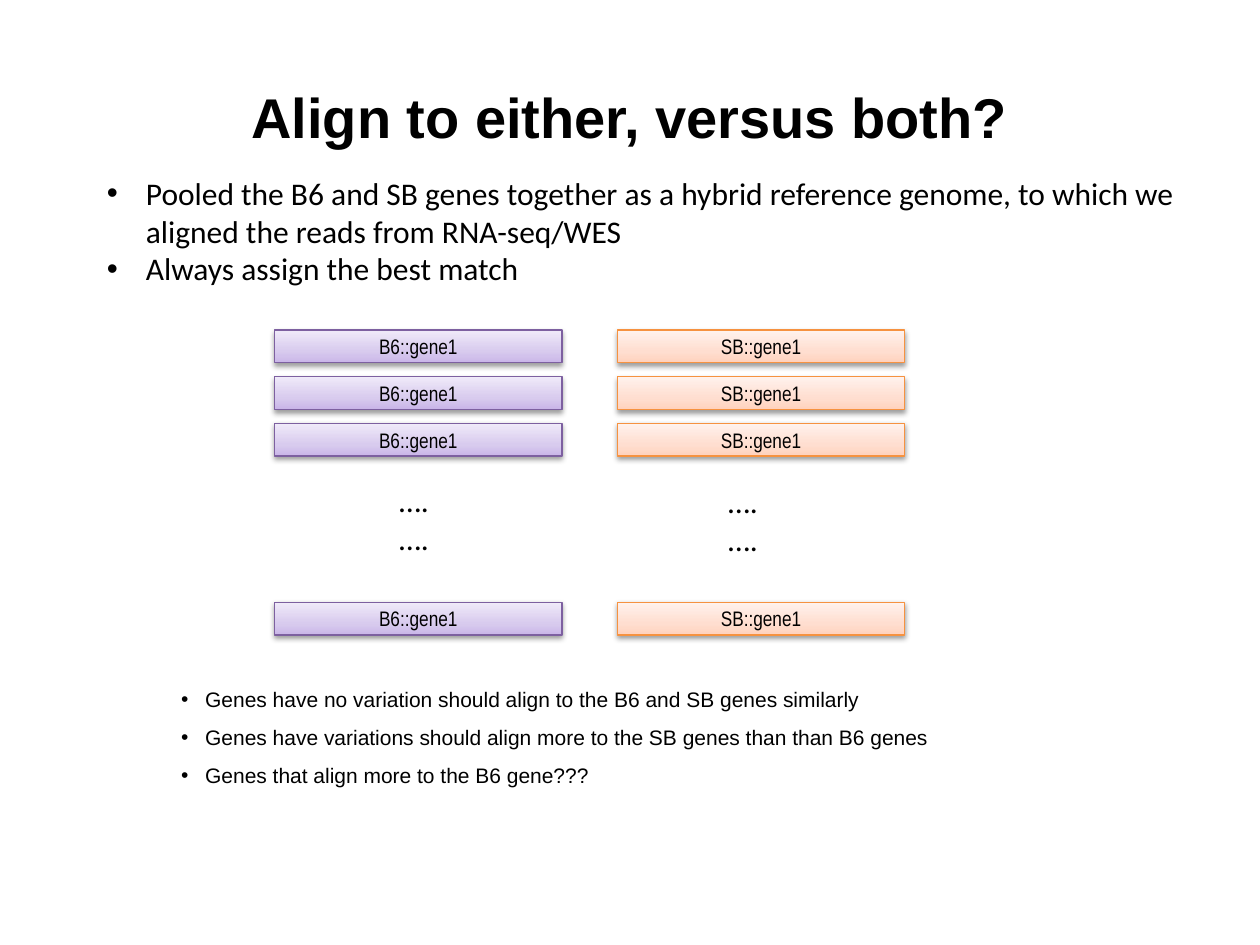
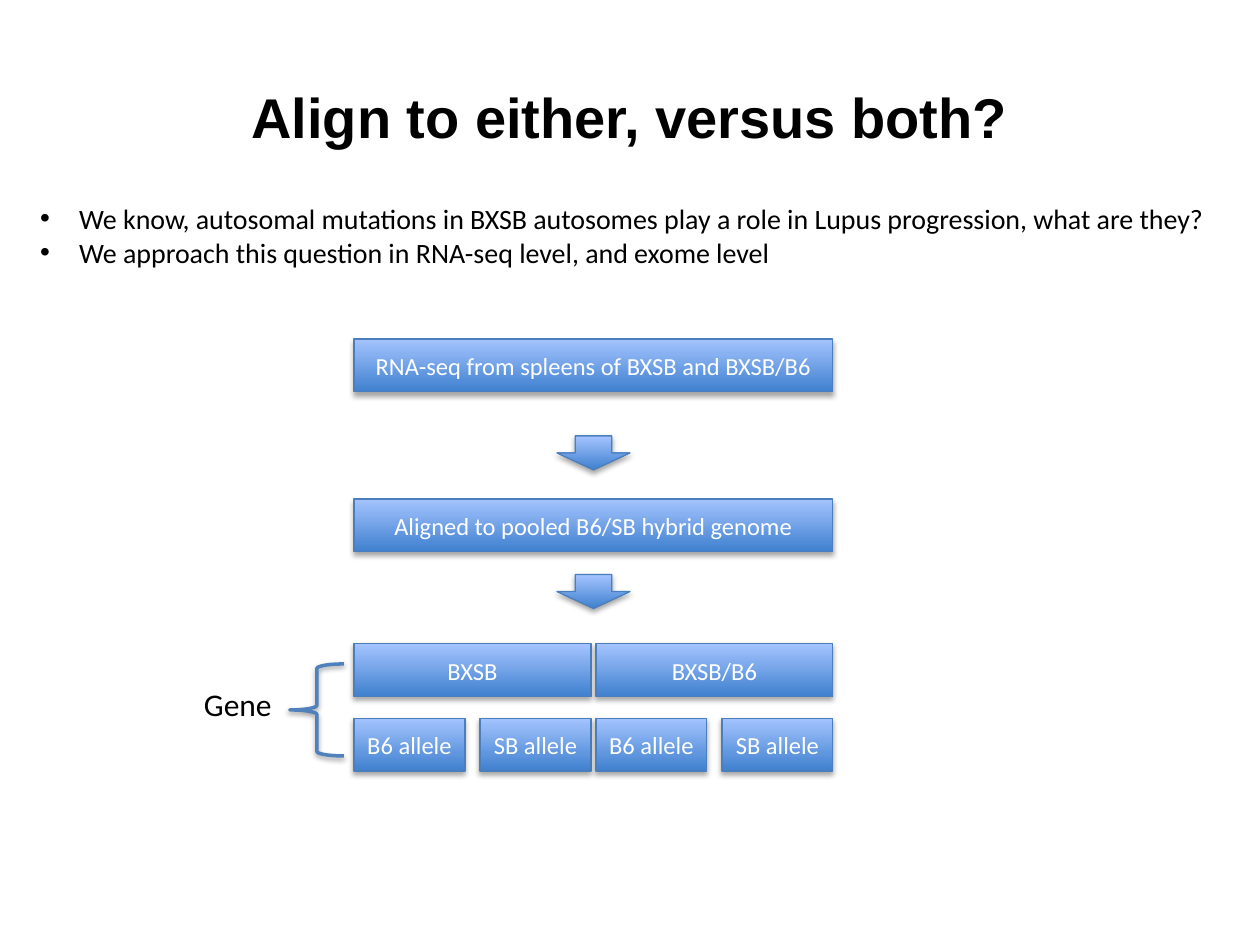
import pptx
import pptx.util
import pptx.oxml
import pptx.oxml.ns
import pptx.dml.color
import pptx.enum.shapes
import pptx.enum.text

Inches, Pt = pptx.util.Inches, pptx.util.Pt
SHAPE = pptx.enum.shapes.MSO_SHAPE
ALIGN = pptx.enum.text.PP_ALIGN
FIT = pptx.enum.text.MSO_AUTO_SIZE
MIDDLE = pptx.enum.text.MSO_ANCHOR.MIDDLE
qn = pptx.oxml.ns.qn

TITLE = "Align to either, versus both?"
BLACK, WHITE = "000000", "FFFFFF"

# Look: gradient stops from bottom to top, line colour and width, shadow (opacity %, distance pt)
PURPLE = dict(stops=[(0, "C9B5E8"), (35, "D8CBEE"), (100, "F0EAF9")], line="7D60A0", shade=(38, 1.6))
ORANGE = dict(stops=[(0, "FFD2BD"), (35, "FFDED0"), (100, "FFF2ED")], line="F69240", shade=(38, 1.6))
BLUE = dict(stops=[(0, "3F80CE"), (100, "A4C4FF")], line="4B7EBC", shade=(35, 1.8))
BRACE = dict(stops=[], line="4F81BD", shade=(38, 1.6), width=2)

POOL = ["Pooled the B6 and SB genes together as a hybrid reference genome, "
        "to which we aligned the reads from RNA-seq/WES",
        "Always assign the best match"]
CASES = ["Genes have no variation should align to the B6 and SB genes similarly",
         "Genes have variations should align more to the SB genes than than B6 genes",
         "Genes that align more to the B6 gene???"]
# Gene label, left of column, look, place of the dots
GENES = [("SB::gene1", 4.9, ORANGE, (5.68, 3.78)),
         ("B6::gene1", 2.18, PURPLE, (3.07, 3.77))]
GENE_TOPS = [2.62 + 0.37 * i for i in range(3)] + [4.78]

AIMS = ["We know, autosomal mutations in BXSB autosomes play a role in Lupus progression, what are they?",
        "We approach this question in RNA-seq level, and exome level"]
STEPS = [("RNA-seq from spleens of BXSB and BXSB/B6", 2.69),
         ("Aligned to pooled B6/SB hybrid genome", 3.96)]
ARROW_TOPS = [3.46, 4.56]
STRAINS = ["BXSB", "BXSB/B6"]
ALLELES = ["B6 allele", "SB allele"]
FLOW_LEFT, FLOW_WIDTH, STEP_HIGH = 2.81, 3.8, 0.42
STRAIN_WIDTH, ALLELE_WIDTH = 1.88, 0.88
STRAIN_TOP, ALLELE_TOP = 5.11, 5.7


def rgb(code):
    return pptx.dml.color.RGBColor.from_string(code)


def place(shape, box):
    shape.left, shape.top, shape.width, shape.height = map(Inches, box)


def node(parent, tag, **attrs):
    child = parent.makeelement(qn(tag), {k: str(v) for k, v in attrs.items()})
    parent.append(child)
    return child


def write(frame, lines, size, font="Calibri", color=BLACK, align=ALIGN.LEFT, bold=False,
          hang=0, space=None):
    """Fill a text frame; a hang above 0 gives bullets with that indent."""
    for i, line in enumerate(lines):
        para = frame.paragraphs[0] if i == 0 else frame.add_paragraph()
        para.alignment = align
        if space:
            para.line_spacing = space
        if hang:
            props = para._p.get_or_add_pPr()
            props.set("marL", str(Inches(hang)))
            props.set("indent", str(-Inches(hang)))
            node(props, "a:buFont", typeface="Arial")
            node(props, "a:buChar", char="•")
        run = para.add_run()
        run.text = line
        run.font.size, run.font.name, run.font.bold = Pt(size), font, bold
        run.font.color.rgb = rgb(color)


def note(slide, box, lines, size=18, wrap=True, **style):
    frame = slide.shapes.add_textbox(*map(Inches, box)).text_frame
    frame.word_wrap = wrap
    frame.auto_size = FIT.SHAPE_TO_FIT_TEXT
    write(frame, lines, size, **style)


def paint(shape, look):
    """Give a shape its gradient, line and soft shadow."""
    if look["stops"]:
        shape.fill.gradient()
        shape.fill.gradient_angle = 90
        stops = shape._element.spPr.find(".//" + qn("a:gsLst"))
        stops.clear()
        for pos, code in look["stops"]:
            node(node(stops, "a:gs", pos=pos * 1000), "a:srgbClr", val=code)
    else:
        shape.fill.background()
    shape.line.color.rgb = rgb(look["line"])
    shape.line.width = Pt(look.get("width", 0.75))
    shape.shadow.inherit = False
    alpha, dist = look["shade"]
    shade = node(shape._element.spPr.find(qn("a:effectLst")), "a:outerShdw",
                 blurRad=Pt(3.1), dist=Pt(dist), dir=5400000, rotWithShape=0)
    node(node(shade, "a:srgbClr", val=BLACK), "a:alpha", val=alpha * 1000)


def draw(slide, kind, box, look, text=None, size=14, color=WHITE, font="Calibri"):
    shape = slide.shapes.add_shape(kind, *map(Inches, box))
    paint(shape, look)
    if text:
        shape.text_frame.vertical_anchor = MIDDLE
        write(shape.text_frame, [text], size, font, color, ALIGN.CENTER)


def start(deck):
    slide = deck.slides.add_slide(deck.slide_layouts[5])
    title = slide.shapes.title
    place(title, (0.5, 0.3, 9, 1.25))
    title.text_frame.vertical_anchor = MIDDLE
    write(title.text_frame, [TITLE], 32, "Arial", align=ALIGN.CENTER, bold=True)
    return slide


def pool_slide(deck):
    slide = start(deck)
    note(slide, (1.34, 5.3, 7.63, 0.99), CASES, 12, font="Arial", hang=0.19, space=1.5)
    for label, left, look, dots in GENES:
        for top in GENE_TOPS:
            draw(slide, SHAPE.RECTANGLE, (left, top, 2.28, 0.26), look, label,
                 12, BLACK, "Arial Narrow")
        note(slide, (*dots, 0.48, 0.71), ["…."] * 2)
    note(slide, (0.75, 1.33, 8.87, 1.01), POOL, hang=0.31)


def flow_slide(deck):
    slide = start(deck)
    note(slide, (0.22, 1.55, 9.54, 0.64), AIMS, 16, hang=0.31)

    def step(text, left, top, width):
        draw(slide, SHAPE.RECTANGLE, (left, top, width, STEP_HIGH), BLUE, text)

    for text, top in STEPS:
        step(text, FLOW_LEFT, top, FLOW_WIDTH)
    for top in ARROW_TOPS:
        draw(slide, SHAPE.DOWN_ARROW, (FLOW_LEFT + (FLOW_WIDTH - 0.58) / 2, top, 0.58, 0.27), BLUE)
    for i, strain in enumerate(STRAINS):
        left = FLOW_LEFT + i * (FLOW_WIDTH - STRAIN_WIDTH)
        step(strain, left, STRAIN_TOP, STRAIN_WIDTH)
        for j, allele in enumerate(ALLELES):
            step(allele, left + j * (STRAIN_WIDTH - ALLELE_WIDTH), ALLELE_TOP, ALLELE_WIDTH)
    draw(slide, SHAPE.LEFT_BRACE, (2.3, 5.27, 0.43, 0.73), BRACE)
    note(slide, (1.52, 5.39, 0.75, 0.4), ["Gene"], wrap=False)


def main():
    deck = pptx.Presentation()
    deck.slide_width, deck.slide_height = Inches(10), Inches(7.5)
    pool_slide(deck)
    flow_slide(deck)
    deck.save("out.pptx")


if __name__ == "__main__":
    main()
